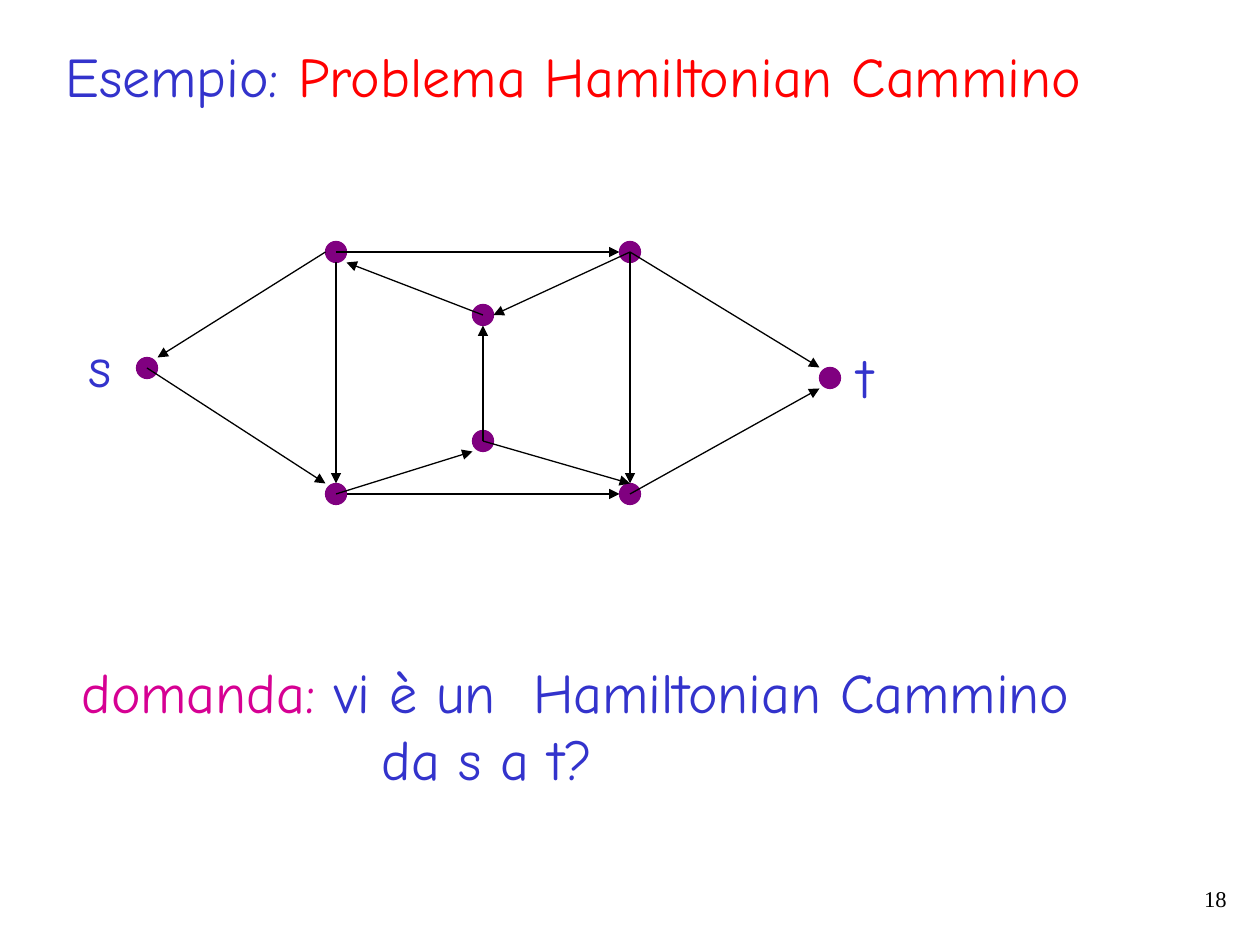
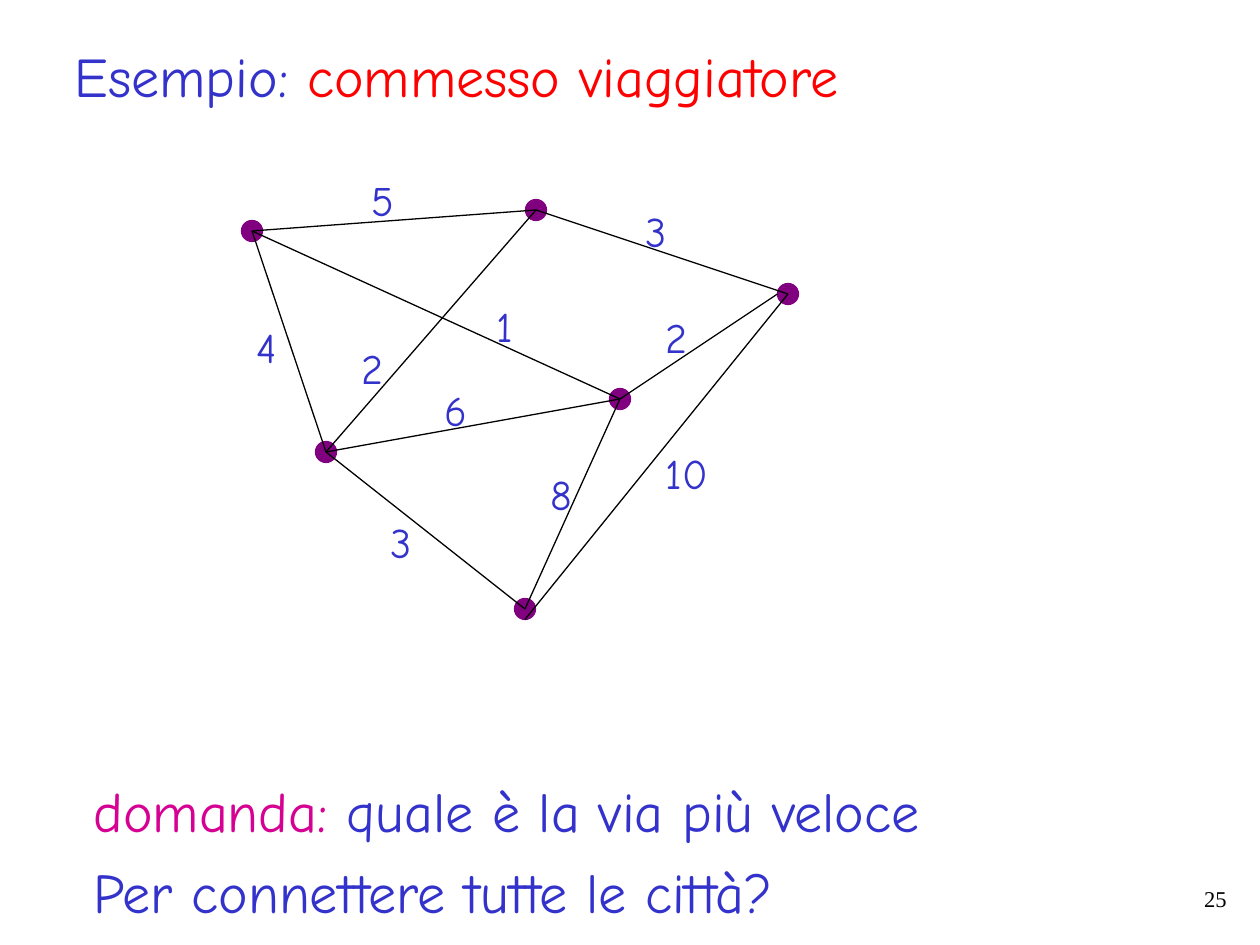
import pptx
import pptx.util
import pptx.dml.color
import pptx.enum.shapes
import pptx.enum.text
import pptx.oxml.ns
import lxml.etree

# Shared look
SCALE = 914400 / 126
BLUE, RED, PINK = "3333CC", "FF0000", "D60093"
PURPLE, BLACK = "800080", "000000"
FONT, SERIF = "Comic Neue", "Times New Roman"
DOT = 21
THIN = pptx.util.Pt(0.74)
ALIGN = pptx.enum.text.PP_ALIGN


def px(n):
    return pptx.util.Emu(round(n * SCALE))


def color(code):
    return pptx.dml.color.RGBColor.from_string(code)


def place(shape, box):
    shape.left, shape.top, shape.width, shape.height = map(px, box)


def write(shape, lines, size, font=FONT, wrap=False):
    """Each line is a list of (text, color) runs."""
    frame = shape.text_frame
    frame.word_wrap = wrap
    frame.auto_size = pptx.enum.text.MSO_AUTO_SIZE.SHAPE_TO_FIT_TEXT
    frame.vertical_anchor = pptx.enum.text.MSO_ANCHOR.TOP
    for i, line in enumerate(lines):
        para = frame.add_paragraph() if i else frame.paragraphs[0]
        para.alignment = ALIGN.LEFT
        for text, code in line:
            run = para.add_run()
            run.text = text
            run.font.size = pptx.util.Pt(size)
            run.font.name = font
            run.font.color.rgb = color(code)
    return frame.paragraphs


def label(slide, box, lines, size, font=FONT, wrap=False):
    shape = slide.shapes.add_textbox(*map(px, box))
    return write(shape, lines, size, font, wrap)


def start(deck, topic, box, number):
    """Add a slide with its title and page number."""
    slide = deck.slides.add_slide(deck.slide_layouts[5])
    title = slide.shapes.title
    place(title, box)
    write(title, [[("Esempio: ", BLUE), (topic, RED)]], 32)
    page = label(slide, (977, 882, 262, 42), [[(number, BLACK)]], 12.9, SERIF, True)
    page[0].alignment = ALIGN.RIGHT
    page[0].line_spacing = 0.9
    return slide


def dot(slide, x, y):
    kind = pptx.enum.shapes.MSO_SHAPE.OVAL
    box = (x - DOT / 2, y - DOT / 2, DOT, DOT)
    shape = slide.shapes.add_shape(kind, *map(px, box))
    shape.shadow.inherit = False
    shape.fill.solid()
    shape.fill.fore_color.rgb = color(PURPLE)
    shape.line.color.rgb = color(PURPLE)
    shape.line.width = THIN


def edge(slide, a, b, arrow):
    kind = pptx.enum.shapes.MSO_CONNECTOR.STRAIGHT
    line = slide.shapes.add_connector(kind, *map(px, a + b))
    line.line.color.rgb = color(BLACK)
    line.line.width = THIN
    qn = pptx.oxml.ns.qn
    props = line._element.spPr
    if arrow:
        lxml.etree.SubElement(props.find(qn("a:ln")), qn("a:tailEnd"), type="triangle")
    lxml.etree.SubElement(props, qn("a:effectLst"))


def graph(slide, nodes, edges, arrow=False):
    """An edge runs between node centres, each end shifted by whole radii."""
    def point(name, shift):
        return tuple(c + s * DOT / 2 for c, s in zip(nodes[name], shift))

    for x, y in nodes.values():
        dot(slide, x, y)
    for a, b, out, into in edges:
        edge(slide, point(a, out), point(b, into), arrow)


MID, LEFT, RIGHT, UP, DOWN = (0, 0), (-1, 0), (1, 0), (0, -1), (0, 1)


def path_slide(deck):
    slide = start(deck, "Problema Hamiltonian Cammino", (53, 35, 1043, 81), "18")
    # Directed graph
    nodes = {"s": (147, 368), "nw": (336, 252), "sw": (336, 494), "t": (830, 378),
             "se": (630, 494), "ne": (630, 252), "low": (483, 441), "high": (483, 315)}
    edges = [("nw", "s", LEFT, (1, -1)), ("s", "sw", MID, (-1, -1)),
             ("nw", "sw", DOWN, UP), ("nw", "ne", MID, LEFT),
             ("sw", "se", RIGHT, LEFT), ("se", "t", MID, (-1, 1)),
             ("ne", "t", MID, (-1, -1)), ("high", "nw", MID, (1, 1)),
             ("ne", "high", MID, RIGHT), ("low", "high", MID, DOWN),
             ("sw", "low", MID, (-1, 1)), ("low", "se", MID, UP),
             ("ne", "se", MID, UP)]
    graph(slide, nodes, edges, arrow=True)
    label(slide, (76, 325, 48, 81), [[("s", BLUE)]], 32)
    label(slide, (845, 336, 40, 81), [[("t", BLUE)]], 32)
    # Question, second line indented
    lines = [[("domanda:", PINK), (" vi è un  Hamiltonian Cammino", BLUE)],
             [("da s a t?", BLUE)]]
    paras = label(slide, (69, 651, 1034, 147), lines, 32, wrap=True)
    paras[1]._p.get_or_add_pPr().set("marL", str(px(300)))


def tour_slide(deck):
    slide = start(deck, "commesso viaggiatore", (62, 35, 793, 81), "25")
    # Weighted graph
    nodes = {"nw": (252, 231), "n": (536, 210), "w": (326, 452),
             "e": (788, 294), "s": (525, 609), "mid": (620, 399)}
    pairs = [("nw", "n"), ("n", "e"), ("w", "mid"), ("nw", "w"), ("w", "s"),
             ("mid", "s"), ("nw", "mid"), ("n", "w")]
    edges = [(a, b, MID, MID) for a, b in pairs]
    edges += [("mid", "e", MID, LEFT), ("s", "e", DOWN, MID)]
    graph(slide, nodes, edges)
    # Weights
    for text, x, y, wide in [("5", 359, 168, 48), ("3", 633, 199, 47),
                             ("2", 349, 336, 47), ("1", 484, 294, 42),
                             ("8", 538, 462, 47), ("10", 653, 441, 67),
                             ("2", 653, 305, 47), ("4", 244, 315, 45),
                             ("3", 378, 510, 47), ("6", 432, 378, 48)]:
        label(slide, (x, y, wide, 63), [[(text, BLUE)]], 24)
    # Question
    lines = [[("domanda:", PINK), (" quale è la via più veloce", BLUE)],
             [("Per connettere tutte le città?", BLUE)]]
    paras = label(slide, (81, 770, 853, 161), lines, 32)
    paras[1].space_before = pptx.util.Pt(8)


def main():
    deck = pptx.Presentation()
    deck.slide_width, deck.slide_height = px(1260), px(945)
    path_slide(deck)
    tour_slide(deck)
    deck.save("out.pptx")


main()
